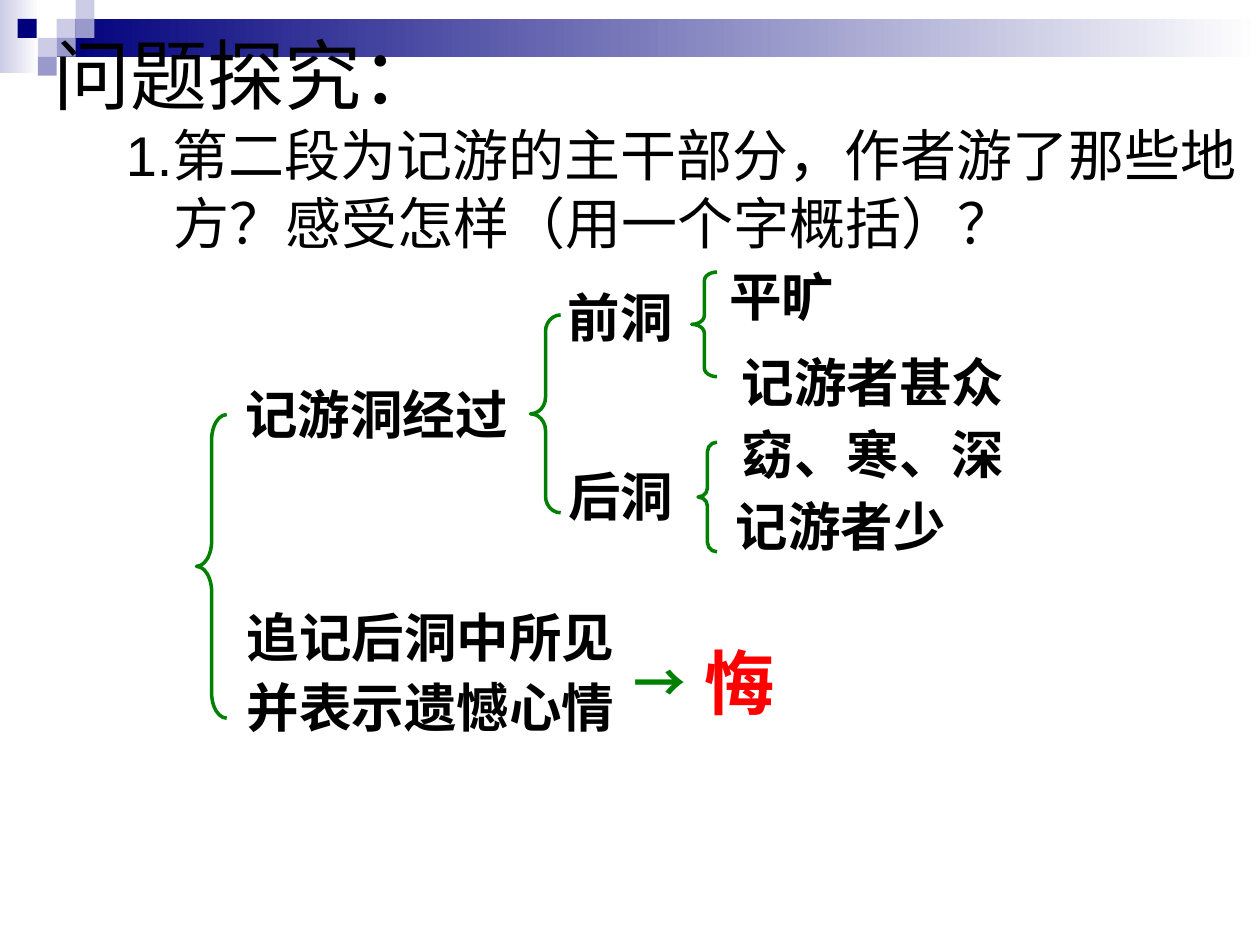
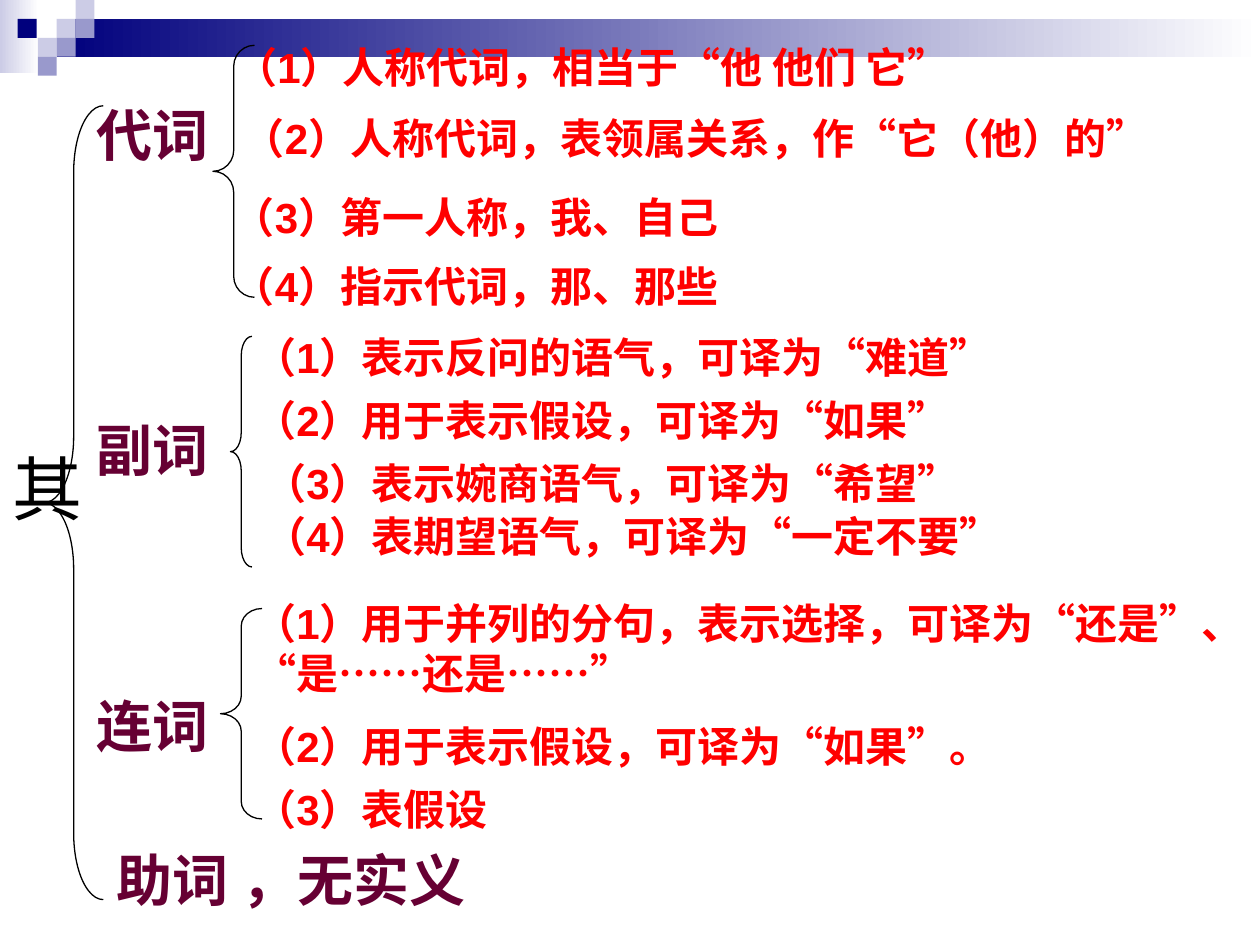
from dataclasses import dataclass

from lxml.etree import SubElement
from pptx import Presentation
from pptx.dml.color import RGBColor
from pptx.enum.shapes import MSO_SHAPE
from pptx.enum.text import MSO_ANCHOR, PP_ALIGN
from pptx.oxml.ns import qn
from pptx.util import Inches, Pt


@dataclass(frozen=True)
class Theme:
    latin: str = "Arial"
    han: str = "Noto Sans CJK SC"
    black: str = "000000"
    white: str = "FFFFFF"
    navy: str = "00007D"
    pale: str = "CCCCE6"
    lilac: str = "9999CC"
    green: str = "008000"
    red: str = "FF0000"
    plum: str = "660033"
    title: int = 44
    accent: int = 40
    body: int = 32
    node: int = 30
    sense: int = 24


THEME = Theme()


def rgb(code):
    return RGBColor.from_string(code)


def add_box(slide, left, top, width, height, *colors):
    """Add a plain rectangle; two colours make a left-to-right gradient."""
    box = slide.shapes.add_shape(MSO_SHAPE.RECTANGLE, Inches(left), Inches(top),
                                 Inches(width), Inches(height))
    box.shadow.inherit = False
    box.line.fill.background()
    if len(colors) == 1:
        box.fill.solid()
        box.fill.fore_color.rgb = rgb(colors[0])
        return
    box.fill.gradient()
    box.fill.gradient_angle = 0
    for stop, color in zip(box.fill.gradient_stops, colors):
        stop.color.rgb = rgb(color)


def add_band(slide):
    """Add the gradient band and its checkered corner."""
    add_box(slide, 0, 0, 0.31, 0.58, THEME.pale, THEME.white)
    add_box(slide, 0.45, 0.15, 9.55, 0.3, THEME.navy, THEME.white)
    tiles = [
        (0.45, 0.15, THEME.pale), (0.6, 0, THEME.pale), (0.6, 0.15, THEME.lilac),
        (0.3, 0.3, THEME.pale), (0.14, 0.15, THEME.navy),
        (0.45, 0.3, THEME.lilac), (0.3, 0.45, THEME.lilac),
    ]
    for left, top, color in tiles:
        add_box(slide, left, top, 0.15, 0.15, color)


def add_text(slide, place, text, size, color=THEME.black, bold=True,
             font=THEME.latin, spacing=None, gap=0):
    """Add a text box with one paragraph a line; gap is the space between them."""
    box = slide.shapes.add_textbox(*map(Inches, place))
    frame = box.text_frame
    frame.word_wrap = True
    frame.text = text
    for order, para in enumerate(frame.paragraphs):
        if spacing:
            para.line_spacing = spacing
        if order:
            para.space_before = Pt(gap)
        para.font.name = font
        para.font.size = Pt(size)
        para.font.bold = bold
        para.font.color.rgb = rgb(color)
        props = para._p.pPr.find(qn("a:defRPr"))
        SubElement(props, qn("a:ea")).set("typeface", THEME.han)
    return frame


def add_brace(slide, left, top, width, height, color, weight):
    brace = slide.shapes.add_shape(MSO_SHAPE.LEFT_BRACE, Inches(left), Inches(top),
                                   Inches(width), Inches(height))
    brace.shadow.inherit = False
    brace.fill.background()
    brace.line.color.rgb = rgb(color)
    brace.line.width = Pt(weight)
    brace.adjustments[0] = height / 12 / width


def add_node(slide, place, text, spacing=None, color=THEME.black, size=THEME.node):
    add_text(slide, place, text, size, color, font=THEME.han, spacing=spacing, gap=7.5)


def add_tour(slide):
    """Map the cave tour, from the question down to the feeling."""
    title = add_text(slide, (0.33, 0, 8.5, 1.17), "问题探究：", THEME.title, bold=False)
    title.vertical_anchor = MSO_ANCHOR.MIDDLE
    ask = add_text(slide, (0.9, 0.91, 9.1, 1.4),
                   "1.第二段为记游的主干部分，作者游了那些地方？感受怎样（用一个字概括）？",
                   THEME.body, bold=False)
    props = ask.paragraphs[0]._p.pPr
    props.set("marL", str(Inches(0.38)))
    props.set("indent", str(-Inches(0.38)))

    nodes = [
        ((5.69, 2.1, 1.58, 0.55), "平旷", 0.9),
        ((1.85, 2.98, 2.61, 0.6), "记游洞经过", None),
        ((1.86, 4.81, 3.32, 1.11), "追记后洞中所见\n并表示遗憾心情", 0.9),
        ((4.41, 2.21, 1.33, 0.6), "前洞", None),
        ((4.41, 3.63, 1.28, 0.6), "后洞", None),
        ((5.79, 2.73, 2.79, 0.6), "记游者甚众", None),
        ((5.79, 3.36, 3.25, 0.55), "窈、寒、深", 0.9),
        ((5.74, 3.93, 2.41, 0.55), "记游者少", 0.9),
    ]
    for place, text, spacing in nodes:
        add_node(slide, place, text, spacing)
    braces = [(1.56, 3.29, 0.24, 2.41), (4.21, 2.5, 0.24, 1.57),
              (5.49, 2.16, 0.2, 0.83), (5.54, 3.51, 0.15, 0.87)]
    for place in braces:
        add_brace(slide, *place, THEME.green, 2)
    add_node(slide, (4.93, 5.11, 0.95, 0.6), "→", color=THEME.green)
    add_node(slide, (5.49, 5.03, 0.98, 0.77), "悔", color=THEME.red, size=THEME.accent)


def add_class(slide, label, place, brace, senses):
    """Add a word class with its brace and numbered senses."""
    add_text(slide, place, label, THEME.body, THEME.plum,
             spacing=0.9 if label == "连词" else None)
    add_brace(slide, *brace, THEME.black, 0.75)
    for order, (left, top, width, spacing, text) in enumerate(senses, 1):
        add_text(slide, (left, top, width, 0.5), f"（{order}）{text}",
                 THEME.sense, THEME.red, spacing=spacing)


def add_usage(slide):
    """Sort the uses of one word by word class."""
    add_brace(slide, 0.35, 0.84, 0.47, 6.3, THEME.black, 0.75)
    add_class(slide, "代词", (0.67, 0.75, 1.75, 0.64), (1.69, 0.36, 0.33, 2), [
        (1.77, 0.36, 7.81, 0.8, "人称代词，相当于“他 他们 它”"),
        (1.83, 0.84, 8.17, None, "人称代词，表领属关系，作“它（他）的”"),
        (1.75, 1.47, 7.75, None, "第一人称，我、自己"),
        (1.75, 2.1, 6.33, 0.8, "指示代词，那、那些"),
    ])
    add_class(slide, "副词", (0.67, 3.25, 1.5, 0.64), (1.83, 2.67, 0.17, 1.83), [
        (1.92, 2.58, 8.08, None, "表示反问的语气，可译为“难道”"),
        (1.92, 3.08, 7.42, None, "用于表示假设，可译为“如果”"),
        (2, 3.58, 7.17, None, "表示婉商语气，可译为“希望”"),
        (2, 4, 7.75, None, "表期望语气，可译为“一定不要”"),
    ])
    add_class(slide, "连词", (0.67, 5.5, 1.17, 0.58), (1.75, 4.83, 0.33, 1.67), [
        (1.92, 4.69, 7.75, None,
         "用于并列的分句，表示选择，可译为“还是”、“是……还是……”"),
        (1.92, 5.67, 7.08, None, "用于表示假设，可译为“如果”。"),
        (1.92, 6.17, 7.17, None, "表假设"),
    ])
    add_text(slide, (0.83, 6.66, 3.67, 0.64), "助词 ，无实义", THEME.body, THEME.plum)
    word = add_text(slide, (-0.12, 3.5, 0.86, 2), "其", THEME.accent, bold=False)
    word.margin_left = word.margin_right = Inches(0.05)
    word.margin_top = word.margin_bottom = Inches(0.1)
    word.paragraphs[0].alignment = PP_ALIGN.CENTER
    word._txBody.bodyPr.set("vert", "eaVert")


def main():
    deck = Presentation()
    deck.slide_width, deck.slide_height = Inches(10), Inches(7.5)
    for fill in (add_tour, add_usage):
        slide = deck.slides.add_slide(deck.slide_layouts[6])
        add_band(slide)
        fill(slide)
    deck.save("out.pptx")


if __name__ == "__main__":
    main()
